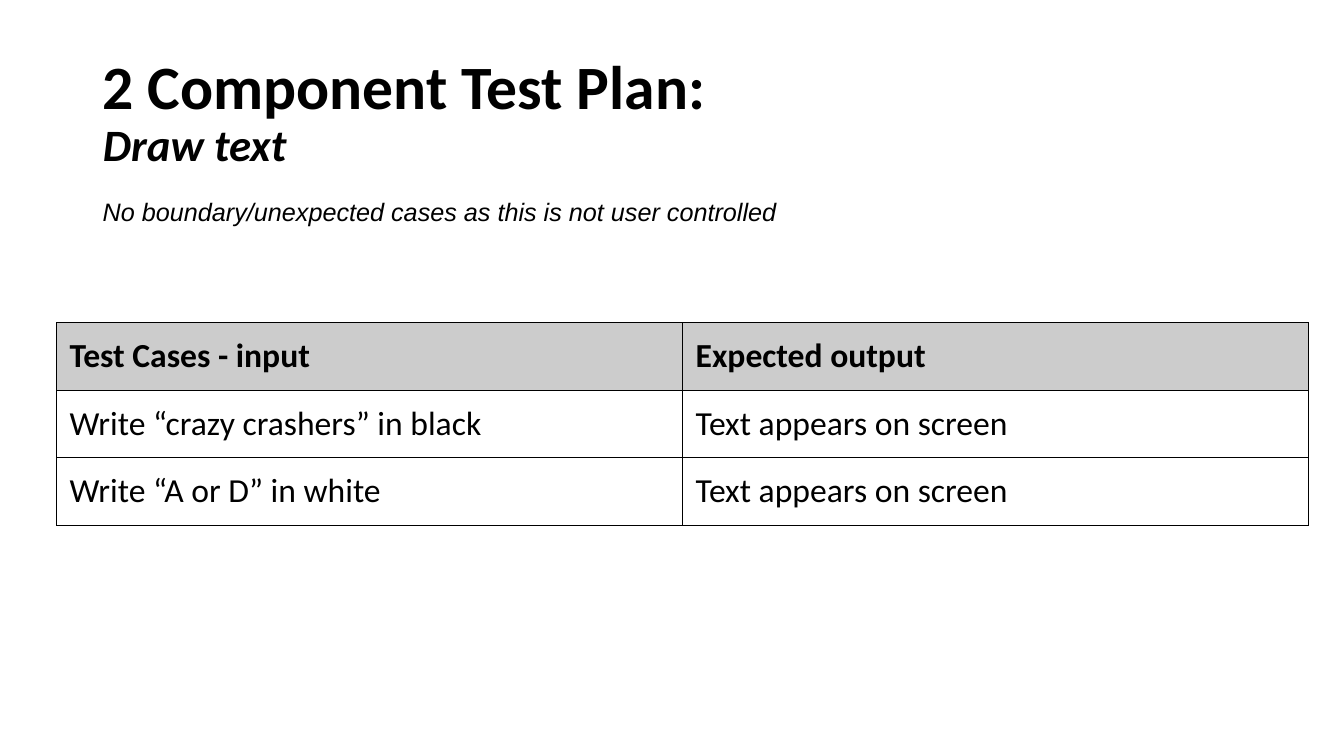
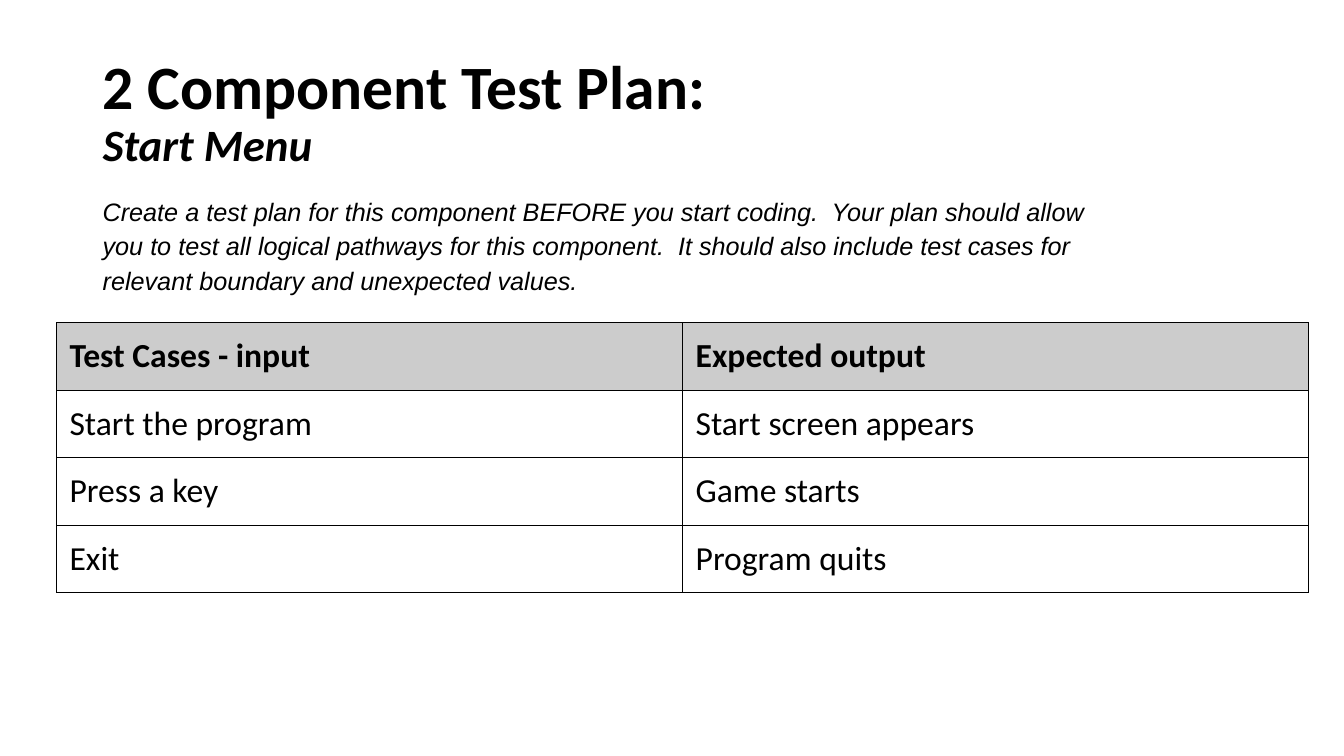
from lxml import etree
from pptx import Presentation
from pptx import util as u
from pptx.dml.color import RGBColor
from pptx.enum import text
from pptx.oxml import ns

BLACK = RGBColor(0x00, 0x00, 0x00)
HEADER_GREY = RGBColor(0xCC, 0xCC, 0xCC)
TITLE_ONLY = 5
HEADINGS = ("Test Cases - input", "Expected output")

PLANS = [
    (
        "Draw text",
        "No boundary/unexpected cases as this is not user controlled",
        0.42,
        [
            ("Write “crazy crashers” in black", "Text appears on screen"),
            ("Write “A or D” in white", "Text appears on screen"),
        ],
    ),
    (
        "Start Menu",
        "Create a test plan for this component BEFORE you start coding.  "
        "Your plan should allow you to test all logical pathways for this component.  "
        "It should also include test cases for relevant boundary and unexpected values.",
        1.12,
        [
            ("Start the program", "Start screen appears"),
            ("Press a key", "Game starts"),
            ("Exit", "Program quits"),
        ],
    ),
]


class TestPlanDeck:
    """Holds the shared style and the slide being built."""

    heading_font = "Calibri"
    note_font = "Arial"
    left = u.Inches(0.92)
    column_width = u.Inches(6.21)
    row_height = u.Inches(0.67)
    cell_margin = u.Inches(0.13)
    border_width = u.Pt(0.75)

    def __init__(self):
        self.deck = Presentation()
        self.deck.slide_width = u.Inches(13.33)
        self.deck.slide_height = u.Inches(7.5)
        self.page = None

    def add_page(self):
        self.page = self.deck.slides.add_slide(self.deck.slide_layouts[TITLE_ONLY])

    def style(self, span, font, size, bold=False, italic=False):
        span.font.name = font
        span.font.size = u.Pt(size)
        span.font.bold = bold
        span.font.italic = italic
        span.font.color.rgb = BLACK

    def add_title(self, component):
        title = self.page.shapes.title
        title.left, title.top = self.left, u.Inches(0.4)
        title.width, title.height = u.Inches(11.5), u.Inches(1.45)
        frame = title.text_frame
        frame.auto_size = text.MSO_AUTO_SIZE.NONE
        frame.vertical_anchor = text.MSO_ANCHOR.MIDDLE
        para = frame.paragraphs[0]
        para.text = f"2 Component Test Plan:\v{component}"
        para.alignment = text.PP_ALIGN.LEFT
        para.line_spacing = 0.9
        heading, subheading = para.runs
        self.style(heading, self.heading_font, 44, bold=True)
        self.style(subheading, self.heading_font, 32, bold=True, italic=True)

    def add_note(self, note, height):
        box = self.page.shapes.add_textbox(
            self.left, u.Inches(1.85), u.Inches(10.33), u.Inches(height)
        )
        frame = box.text_frame
        frame.word_wrap = True
        frame.auto_size = text.MSO_AUTO_SIZE.SHAPE_TO_FIT_TEXT
        para = frame.paragraphs[0]
        para.text = note
        para.line_spacing = 1.15
        self.style(para.runs[0], self.note_font, 18, italic=True)

    def add_cases(self, cases):
        rows = [HEADINGS, *cases]
        table = self.page.shapes.add_table(
            len(rows), len(HEADINGS), u.Inches(0.56), u.Inches(3.2),
            self.column_width * len(HEADINGS), self.row_height * len(rows),
        ).table
        table.first_row = table.horz_banding = False
        for row_index, row in enumerate(rows):
            table.rows[row_index].height = self.row_height
            for column_index, words in enumerate(row):
                self.fill_cell(table.cell(row_index, column_index), words, row_index == 0)

    def fill_cell(self, cell, words, is_header):
        cell.margin_left = cell.margin_right = self.cell_margin
        cell.margin_top = cell.margin_bottom = self.cell_margin
        self.add_borders(cell)
        if is_header:
            cell.fill.solid()
            cell.fill.fore_color.rgb = HEADER_GREY
        else:
            cell.fill.background()
        para = cell.text_frame.paragraphs[0]
        para.text = words
        self.style(para.runs[0], self.heading_font, 24, bold=is_header)

    def add_borders(self, cell):
        """Draw all four borders; they must precede the fill in the cell's XML."""
        properties = cell._tc.get_or_add_tcPr()
        for side in ("lnL", "lnR", "lnT", "lnB"):
            line = etree.SubElement(
                properties, ns.qn(f"a:{side}"), w=str(self.border_width)
            )
            fill = etree.SubElement(line, ns.qn("a:solidFill"))
            etree.SubElement(fill, ns.qn("a:srgbClr"), val=str(BLACK))


def main():
    plan = TestPlanDeck()
    for component, note, note_height, cases in PLANS:
        plan.add_page()
        plan.add_title(component)
        plan.add_note(note, note_height)
        plan.add_cases(cases)
    plan.deck.save("out.pptx")


if __name__ == "__main__":
    main()
